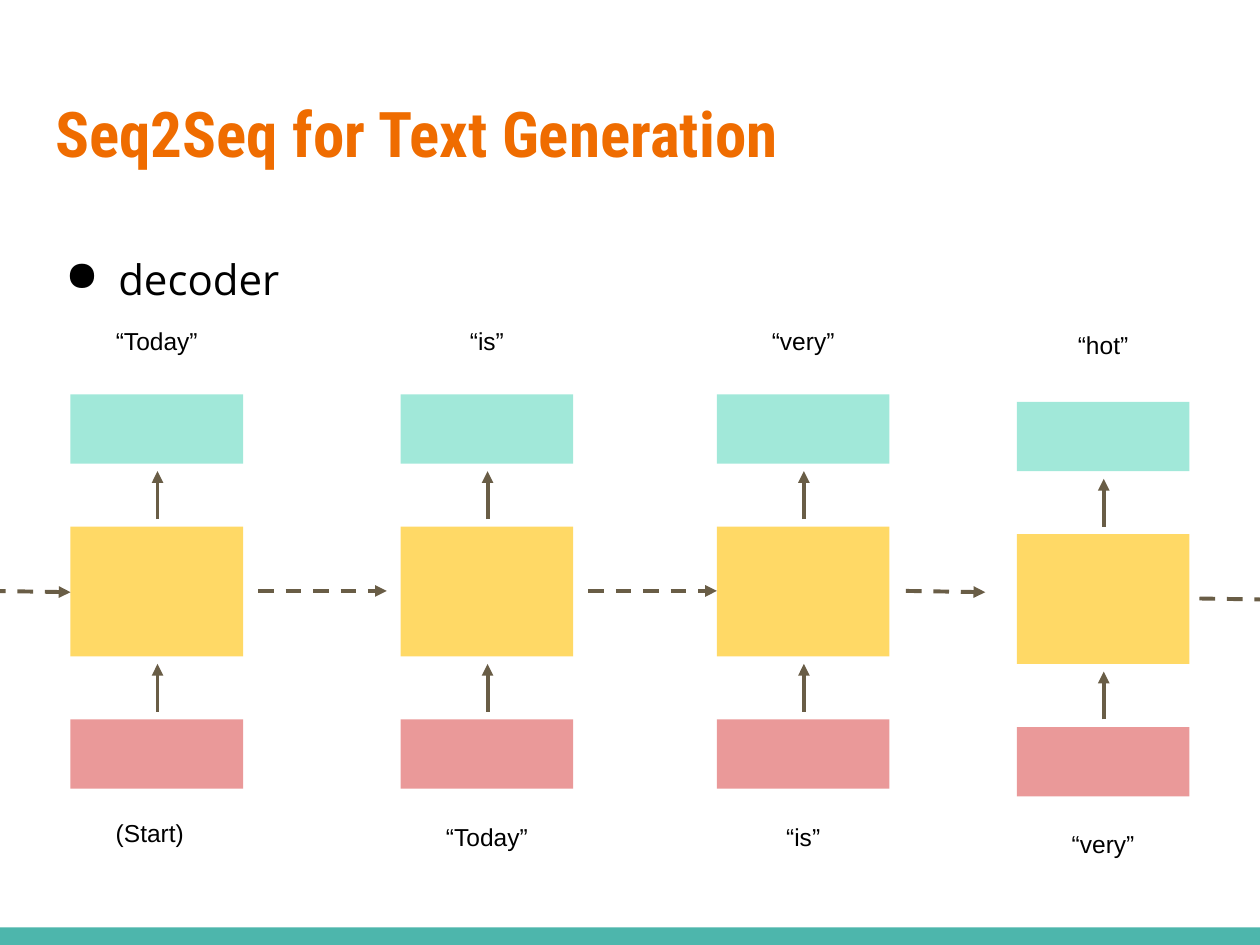
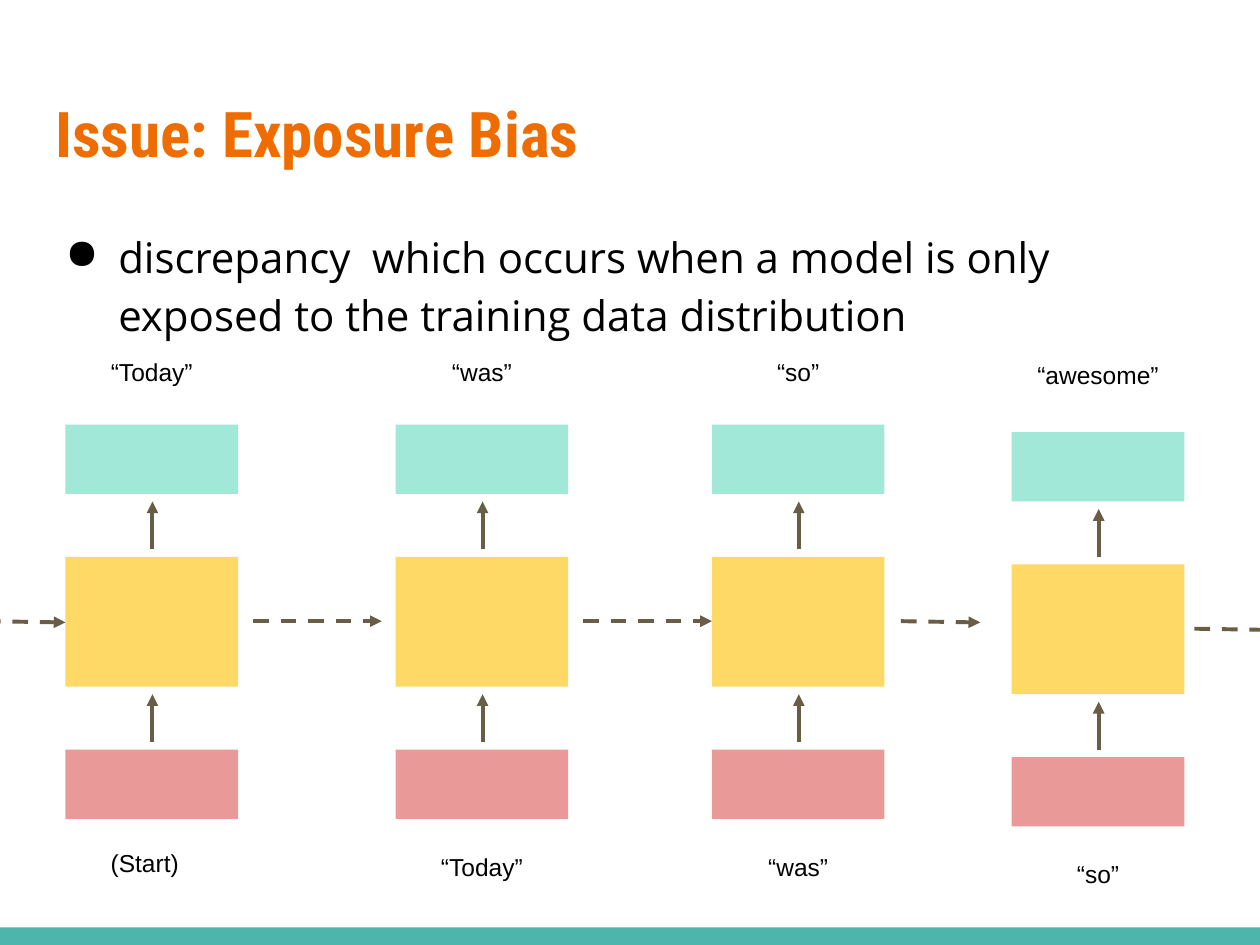
"""Build two slides that show a decoder generating text word by word."""
from lxml.etree import SubElement
from pptx import Presentation
from pptx.dml.color import RGBColor
from pptx.enum.dml import MSO_LINE
from pptx.enum.shapes import MSO_CONNECTOR, MSO_SHAPE
from pptx.enum.text import MSO_ANCHOR, PP_ALIGN
from pptx.oxml.ns import qn
from pptx.util import Inches, Pt

THEME = {
    "band": RGBColor.from_string("4DB6AC"),
    "output": RGBColor.from_string("A1E8D9"),
    "cell": RGBColor.from_string("FFD966"),
    "input": RGBColor.from_string("EA9999"),
    "arrow": RGBColor.from_string("695D46"),
    "title": {"name": "Roboto Condensed", "size": Pt(36), "bold": True, "color": "EF6C00"},
    "body": {"name": "Open Sans", "size": Pt(24), "bold": False, "color": "000000"},
    "label": {"name": "Arial", "size": Pt(14), "bold": False, "color": "000000"},
}
FRAME = {
    "word_wrap": True,
    "vertical_anchor": MSO_ANCHOR.TOP,
    "margin_left": Inches(0.1),
    "margin_right": Inches(0.1),
    "margin_top": Inches(0.1),
    "margin_bottom": Inches(0.1),
}
SLIDES = [
    {
        "title": "Seq2Seq for Text Generation",
        "body": "decoder",
        "body_top": 1.85,
        "origin": (0.56, 3.13),
        "words": ["(Start)", "“Today”", "“is”", "“very”", "“hot”"],
    },
    {
        "title": "Issue: Exposure Bias",
        "body": "discrepancy  which occurs when a model is only exposed to the training data distribution",
        "body_top": 1.68,
        "origin": (0.52, 3.37),
        "words": ["(Start)", "“Today”", "“was”", "“so”", "“awesome”"],
    },
]
BLOCK_WIDTH = 1.37
LABEL_HEIGHT = 0.38
BLOCKS = [("output", 0, 0.55), ("cell", 1.05, 1.03), ("input", 2.58, 0.55)]
STEPS = [
    {"left": 0, "drop": 0, "output": -0.64, "input": 3.26},
    {"left": 2.62, "drop": 0, "output": -0.64, "input": 3.29},
    {"left": 5.13, "drop": 0, "output": -0.64, "input": 3.29},
    {"left": 7.51, "drop": 0.06, "output": -0.61, "input": 3.35},
]
STATE_ARROWS = [
    (-0.64, 1.56, 0, 1.57),
    (1.49, 1.56, 2.51, 1.56),
    (4.11, 1.56, 5.13, 1.56),
    (6.63, 1.56, 7.26, 1.57),
    (8.96, 1.62, 9.59, 1.63),
]


def write(page, place, text, style, align=PP_ALIGN.LEFT):
    box = page.shapes.add_textbox(*map(Inches, place))
    for key, value in FRAME.items():
        setattr(box.text_frame, key, value)
    para = box.text_frame.paragraphs[0]
    para.alignment = align
    span = para.add_run()
    span.text = text
    for key, value in THEME[style].items():
        if key == "color":
            span.font.color.rgb = RGBColor.from_string(value)
        else:
            setattr(span.font, key, value)
    return para


def draw_arrow(page, ends, dash=MSO_LINE.SOLID):
    arrow = page.shapes.add_connector(MSO_CONNECTOR.STRAIGHT, *map(Inches, ends))
    arrow.line.color.rgb = THEME["arrow"]
    for key, value in {"width": Pt(2.25), "dash_style": dash}.items():
        setattr(arrow.line, key, value)
    properties = arrow.element.spPr
    SubElement(properties.find(qn("a:ln")), qn("a:tailEnd"), type="triangle")
    SubElement(properties, qn("a:effectLst"))


deck = Presentation()
for key, value in {"slide_width": Inches(10), "slide_height": Inches(7.5)}.items():
    setattr(deck, key, value)

for content in SLIDES:
    page = deck.slides.add_slide(deck.slide_layouts[6])
    left, top = content["origin"]
    rectangles = [("band", 0, 7.36, 10, 0.14)] + [
        (color, left + step["left"], top + step["drop"] + offset, BLOCK_WIDTH, height)
        for step in STEPS
        for color, offset, height in BLOCKS
    ]
    for color, *place in rectangles:
        block = page.shapes.add_shape(MSO_SHAPE.RECTANGLE, *map(Inches, place))
        block.shadow.inherit = False
        block.fill.solid()
        block.fill.fore_color.rgb = THEME[color]
        block.line.fill.background()

    write(page, (0.34, 0.65, 9.32, 1.03), content["title"], "title")
    para = write(page, (0.34, content["body_top"], 9.32, 0.79), content["body"], "body")
    para.line_spacing = 1.15
    bullet = para._p.get_or_add_pPr()
    for key, value in {"marL": Inches(0.5), "indent": Inches(-0.42)}.items():
        bullet.set(key, str(value))
    SubElement(SubElement(bullet, qn("a:buClr")), qn("a:srgbClr"), val=THEME["body"]["color"])
    SubElement(bullet, qn("a:buChar"), char="●")

    words = content["words"]
    for index, step in enumerate(STEPS):
        step_left = left + step["left"]
        center = step_left + 0.69
        for tail in (0.99, 2.52):
            start = top + step["drop"] + tail
            draw_arrow(page, (center, start, center, start - 0.38))
        for role, word in (("output", words[index + 1]), ("input", words[index])):
            place = (step_left, top + step[role], BLOCK_WIDTH, LABEL_HEIGHT)
            align = PP_ALIGN.CENTER
            if word == "(Start)":
                place = (step_left + 0.26, top + step[role], 0.85, LABEL_HEIGHT)
                align = PP_ALIGN.LEFT
            write(page, place, word, "label", align)

    for x1, y1, x2, y2 in STATE_ARROWS:
        draw_arrow(page, (left + x1, top + y1, left + x2, top + y2), MSO_LINE.DASH)

deck.save("out.pptx")
